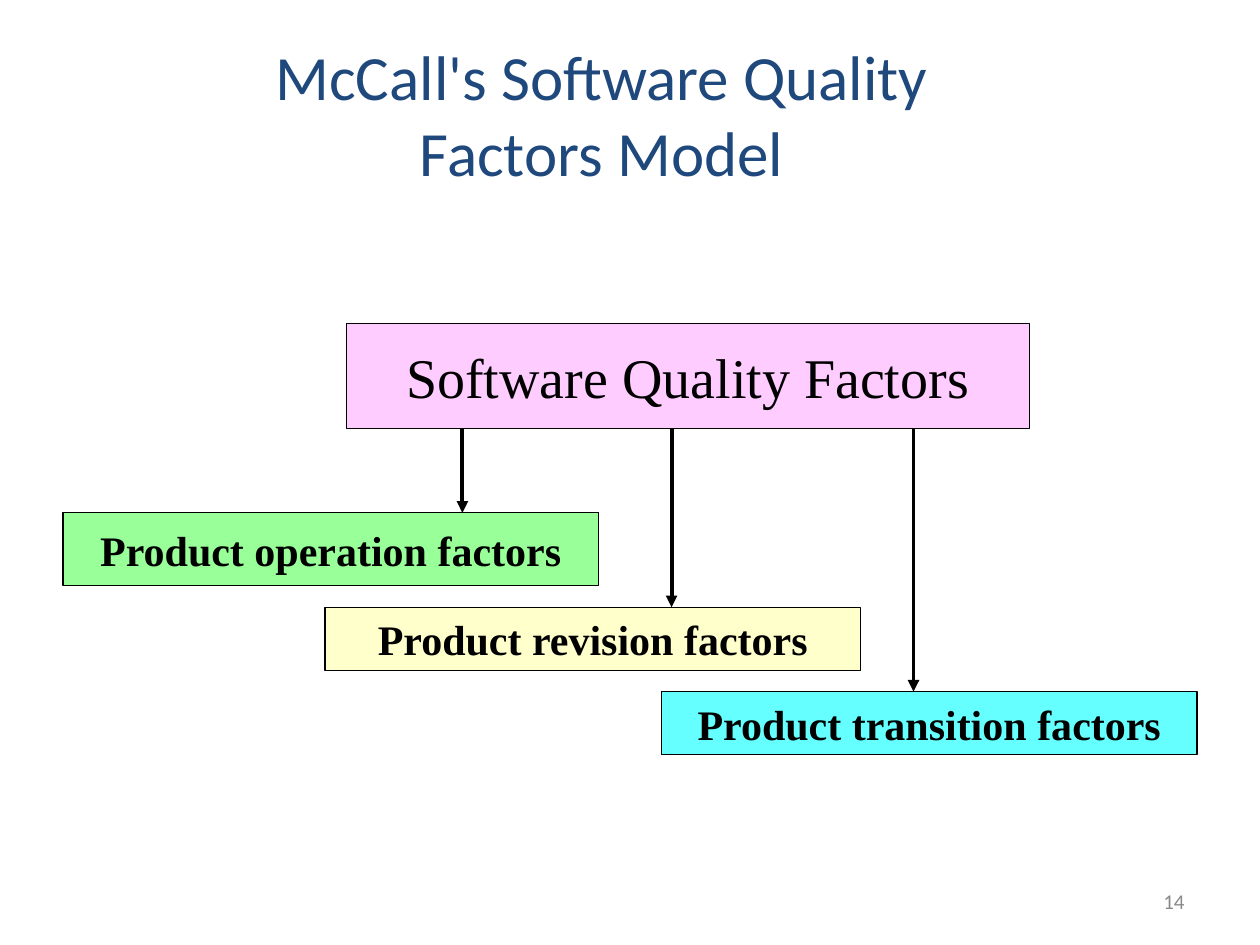
import dataclasses

import pptx
import pptx.dml.color
import pptx.enum.shapes
import pptx.enum.text
import pptx.oxml
import pptx.oxml.ns
import pptx.util

Inches = pptx.util.Inches
Align = pptx.enum.text.PP_ALIGN
Anchor = pptx.enum.text.MSO_ANCHOR


@dataclasses.dataclass(frozen=True)
class Theme:
    """Colours, fonts and sizes of the slide."""
    ink: str = "000000"
    title: str = "1F497D"
    number: str = "898989"
    root: str = "FFCCFF"
    operation: str = "99FF99"
    revision: str = "FFFFCC"
    transition: str = "66FFFF"
    heading_font: str = "Calibri"
    diagram_font: str = "Times New Roman"
    title_size: int = 36
    root_size: int = 32
    factor_size: int = 24
    number_size: int = 12
    border: float = 0.75
    arrow: float = 2.25


THEME = Theme()


def rgb(value):
    """Return the colour for a hex value."""
    return pptx.dml.color.RGBColor.from_string(value)


def write(frame, text, font, size, color, align, anchor, wrap=False, bold=False):
    """Fill a text frame, one paragraph per line, in one style."""
    frame.text = text
    frame.word_wrap = wrap
    frame.vertical_anchor = anchor
    for paragraph in frame.paragraphs:
        paragraph.alignment = align
        for run in paragraph.runs:
            run.font.name = font
            run.font.size = pptx.util.Pt(size)
            run.font.bold = bold
            run.font.color.rgb = rgb(color)


def add_title(slide, left, top, width, height):
    """Place the slide title in its box."""
    title = slide.shapes.add_textbox(*map(Inches, (left, top, width, height)))
    write(title.text_frame, "McCall's Software Quality\nFactors Model", THEME.heading_font,
          THEME.title_size, THEME.title, Align.CENTER, Anchor.TOP)


def add_page_number(slide, left, top, width, height):
    """Place the page number in its box."""
    number = slide.shapes.add_textbox(*map(Inches, (left, top, width, height)))
    write(number.text_frame, "14", THEME.heading_font, THEME.number_size,
          THEME.number, Align.RIGHT, Anchor.MIDDLE, wrap=True)


def add_factor(slide, box, text, fill, size, bold):
    """Draw one bordered factor box with its label."""
    factor = slide.shapes.add_shape(
        pptx.enum.shapes.MSO_SHAPE.RECTANGLE, *map(Inches, box))
    factor.shadow.inherit = False
    factor.fill.solid()
    factor.fill.fore_color.rgb = rgb(fill)
    factor.line.color.rgb = rgb(THEME.ink)
    factor.line.width = pptx.util.Pt(THEME.border)
    write(factor.text_frame, text, THEME.diagram_font, size, THEME.ink,
          Align.CENTER, Anchor.MIDDLE, bold=bold)


def add_down_arrow(slide, x, top, bottom):
    """Draw a vertical arrow pointing down."""
    arrow = slide.shapes.add_connector(
        pptx.enum.shapes.MSO_CONNECTOR.STRAIGHT, *map(Inches, (x, top, x, bottom)))
    arrow.line.color.rgb = rgb(THEME.ink)
    arrow.line.width = pptx.util.Pt(THEME.arrow)
    namespace = pptx.oxml.ns.nsdecls("a")
    arrow.line._get_or_add_ln().append(
        pptx.oxml.parse_xml(f'<a:tailEnd {namespace} type="triangle"/>'))
    arrow._element.spPr.append(pptx.oxml.parse_xml(f"<a:effectLst {namespace}/>"))


def add_factor_tree(slide, left, top, width, height):
    """Draw the root box and its three stepped factor groups."""
    root_left, root_height, factor_width = 2.25, 0.83, 4.25
    add_factor(slide, (left + root_left, top, 5.42, root_height),
               "Software Quality Factors", THEME.root, THEME.root_size, False)
    groups = (
        ("operation", 0, 1.5, 0.58, 3.17),
        ("revision", 2.08, 2.25, 0.5, 4.83),
        ("transition", width - factor_width, height - 0.5, 0.5, 6.75),
    )
    for group, x, y, group_height, arrow_x in groups:
        add_factor(slide, (left + x, top + y, factor_width, group_height),
                   f"Product {group} factors", getattr(THEME, group),
                   THEME.factor_size, True)
        add_down_arrow(slide, left + arrow_x, top + root_height, top + y)


def main():
    """Build and save the slide."""
    deck = pptx.Presentation()
    deck.slide_width, deck.slide_height = Inches(10), Inches(7.5)
    slide = deck.slides.add_slide(deck.slide_layouts[6])
    add_factor_tree(slide, 0.5, 2.57, 9, 3.42)
    add_title(slide, 1.08, 0.25, 7.39, 1.26)
    add_page_number(slide, 7.17, 6.95, 2.33, 0.4)
    deck.save("out.pptx")


if __name__ == "__main__":
    main()
